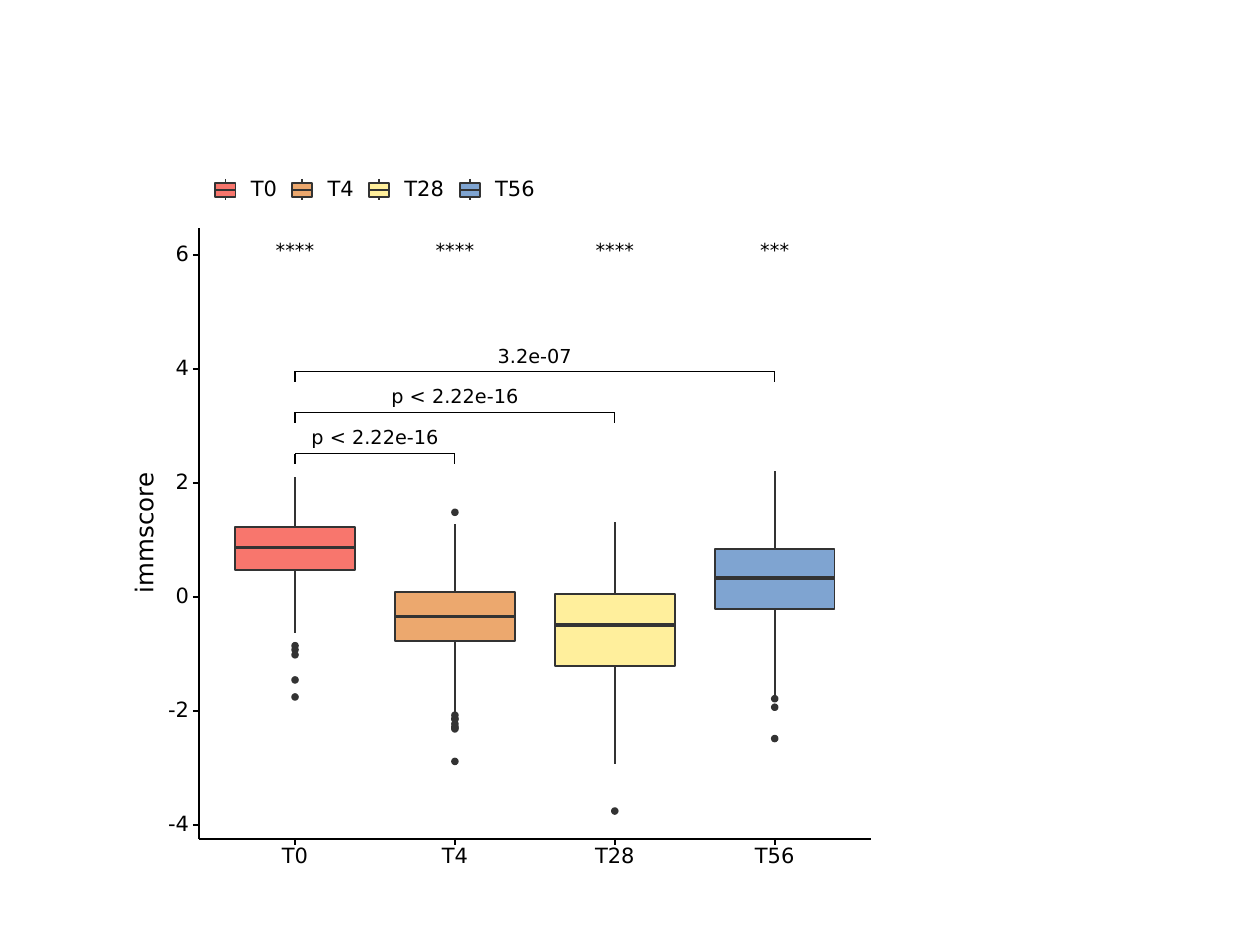
from collections import namedtuple

from lxml import etree
from pptx import Presentation
from pptx.dml.color import RGBColor
from pptx.enum.shapes import MSO_CONNECTOR, MSO_SHAPE
from pptx.enum.text import MSO_ANCHOR, PP_ALIGN
from pptx.oxml.ns import qn
from pptx.util import Inches, Pt

STRAIGHT = MSO_CONNECTOR.STRAIGHT
RECT, DOT = MSO_SHAPE.RECTANGLE, MSO_SHAPE.OVAL
LEFT, CENTER, RIGHT = PP_ALIGN.LEFT, PP_ALIGN.CENTER, PP_ALIGN.RIGHT
MIDDLE = MSO_ANCHOR.MIDDLE

FONT = "DejaVu Sans"
BLACK, DARK, WHITE = "000000", "333333", "FFFFFF"
THIN, NORMAL, THICK = 0.64, 1.07, 2.13

Box = namedtuple("Box", "left top width height")
Group = namedtuple("Group", "name color label_width low q1 median q3 high outliers stars")

GROUPS = [
    Group("T0", "F8766D", 0.21, -0.62, 0.48, 0.87, 1.23, 2.10,
          [-0.92, -0.85, -1.45, -1.75, -1.01], "****"),
    Group("T4", "ECA86E", 0.21, -2.06, -0.77, -0.34, 0.09, 1.28,
          [-2.22, -2.13, -2.29, -2.27, -2.31, 1.49, -2.14, -2.07, -2.88], "****"),
    Group("T28", "FFEF9C", 0.32, -2.92, -1.20, -0.49, 0.06, 1.32,
          [-3.75], "****"),
    Group("T56", "7FA4D1", 0.32, -1.72, -0.20, 0.34, 0.84, 2.21,
          [-1.78, -1.93, -2.48], "***"),
]
# last group, height in score units, label, label width, label offset
COMPARISONS = [
    (2, 3.24, "p < 2.22e-16", 1.02, 0.12),
    (1, 2.52, "p < 2.22e-16", 1.02, 0.12),
    (3, 3.96, "3.2e-07", 0.6, 0.11),
]
UNIT = 0.4525      # inches per score unit
ZERO = 2.93        # zero level below the top of the panel
BOX_WIDTH = 0.95
DOT_SIZE = 0.05
TICK = 0.05


def rgb(value):
    return RGBColor.from_string(value)


def add_line(slide, x1, y1, x2, y2, color=BLACK, weight=NORMAL):
    line = slide.shapes.add_connector(
        STRAIGHT, Inches(x1), Inches(y1), Inches(x2), Inches(y2))
    line.line.color.rgb = rgb(color)
    line.line.width = Pt(weight)
    etree.SubElement(line._element.spPr, qn("a:effectLst"))


def add_filled(slide, kind, box, fill, line=DARK, weight=NORMAL):
    shape = slide.shapes.add_shape(kind, *map(Inches, box))
    shape.shadow.inherit = False
    shape.fill.solid()
    shape.fill.fore_color.rgb = rgb(fill)
    shape.line.color.rgb = rgb(line)
    shape.line.width = Pt(weight)


def add_text(slide, text, box, size=12, align=CENTER, rotation=0):
    label = slide.shapes.add_textbox(*map(Inches, box))
    label.rotation = rotation
    frame = label.text_frame
    frame.word_wrap = False
    frame.vertical_anchor = MIDDLE
    frame.margin_left = frame.margin_right = 0
    frame.margin_top = frame.margin_bottom = 0
    paragraph = frame.paragraphs[0]
    paragraph.alignment = align
    paragraph.line_spacing = Pt(size)
    run = paragraph.add_run()
    run.text = text
    run.font.size = Pt(size)
    run.font.name = FONT
    run.font.color.rgb = rgb(BLACK)


def score_y(panel, score):
    return panel.top + ZERO - score * UNIT


def group_x(panel, index):
    step = panel.width / 4.2
    return panel.left + step * (0.6 + index)


def draw_group(slide, panel, index, group):
    x = group_x(panel, index)
    low, q1, median, q3, high = (
        score_y(panel, score)
        for score in (group.low, group.q1, group.median, group.q3, group.high))
    left = x - BOX_WIDTH / 2
    for outlier in group.outliers:
        y = score_y(panel, outlier)
        dot = Box(x - DOT_SIZE / 2, y - DOT_SIZE / 2, DOT_SIZE, DOT_SIZE)
        add_filled(slide, DOT, dot, DARK, weight=0.71)
    add_line(slide, x, q3, x, high, DARK)
    add_line(slide, x, q1, x, low, DARK)
    add_filled(slide, RECT, Box(left, q3, BOX_WIDTH, q1 - q3), group.color)
    add_line(slide, left, median, left + BOX_WIDTH, median, DARK, THICK)


def draw_comparison(slide, panel, last, score, text, width, offset):
    start, end = group_x(panel, 0), group_x(panel, last)
    y = score_y(panel, score)
    add_text(slide, text,
             Box((start + end - width) / 2, y - offset - 0.07, width, 0.14), size=11)
    add_line(slide, start, y, end, y, weight=THIN)
    for x in (start, end):
        add_line(slide, x, y, x, y + 0.08, weight=THIN)


def draw_axes(slide, panel):
    bottom = panel.top + panel.height
    # Score axis
    add_line(slide, panel.left, bottom, panel.left, panel.top)
    for score in range(-4, 7, 2):
        y = score_y(panel, score)
        width = 0.17 if score < 0 else 0.11
        add_line(slide, panel.left - TICK, y, panel.left, y)
        add_text(slide, str(score),
                 Box(panel.left - 0.08 - width, y - 0.06, width, 0.12), align=RIGHT)
    add_text(slide, "immscore",
             Box(panel.left - 0.9, panel.top + panel.height / 2 - 0.08, 0.96, 0.15),
             size=14, rotation=270)
    # Time axis with significance stars
    add_line(slide, panel.left, bottom, panel.left + panel.width, bottom)
    for index, group in enumerate(GROUPS):
        x = group_x(panel, index)
        add_line(slide, x, bottom, x, bottom + TICK)
        add_text(slide, group.name,
                 Box(x - group.label_width / 2, bottom + 0.08, group.label_width, 0.13))
        width = 0.08 * len(group.stars)
        add_text(slide, group.stars,
                 Box(x - width / 2, panel.top + 0.15, width, 0.07), size=11)


def draw_legend(slide, area):
    left, middle = area.left, area.top + area.height / 2
    for group in GROUPS:
        x = left + 0.08
        for y in (area.top, area.top + area.height - 0.03):
            add_line(slide, x, y, x, y + 0.03, DARK)
        add_filled(slide, RECT, Box(left, middle - 0.05, 0.16, 0.11), group.color)
        add_line(slide, left, middle, left + 0.16, middle, DARK)
        add_text(slide, group.name,
                 Box(left + 0.28, middle - 0.06, group.label_width, 0.13), align=LEFT)
        left += 0.28 + group.label_width + 0.12


def draw_plot(slide, area):
    add_filled(slide, RECT, area, WHITE, line=WHITE, weight=0.75)
    panel = Box(area.left + 0.58, area.top + 0.81, 5.33, 4.85)
    for index, group in enumerate(GROUPS):
        draw_group(slide, panel, index, group)
    for comparison in COMPARISONS:
        draw_comparison(slide, panel, *comparison)
    draw_axes(slide, panel)
    draw_legend(slide, Box(area.left + 0.71, area.top + 0.42, 2.6, 0.17))


presentation = Presentation()
presentation.slide_width, presentation.slide_height = Inches(10), Inches(7.5)
plot_slide = presentation.slides.add_slide(presentation.slide_layouts[6])
draw_plot(plot_slide, Box(1, 1, 6, 6))
presentation.save("out.pptx")
